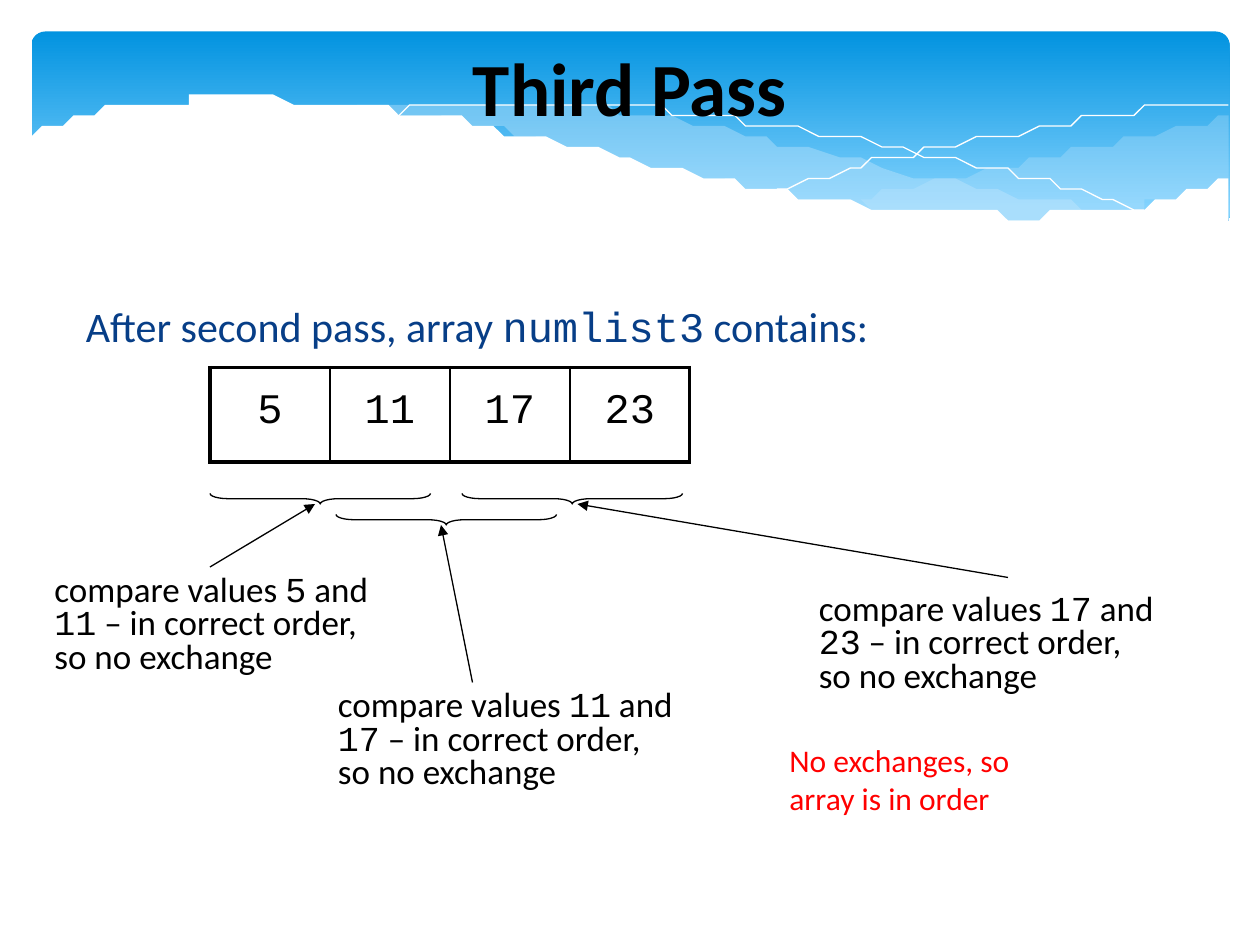
from lxml.etree import SubElement
from pptx import Presentation
from pptx.dml.color import RGBColor
from pptx.enum.shapes import MSO_CONNECTOR, MSO_SHAPE
from pptx.enum.text import MSO_ANCHOR, PP_ALIGN
from pptx.oxml.ns import qn
from pptx.util import Emu, Inches, Pt

COLUMNS, ROWS = 120, 90
BLACK, WHITE, NAVY, RED, PALE = "000000", "FFFFFF", "073E87", "FF0000", "C6E7FC"

RIGHT_VEIL_TOP = [(117.1, 11.3), (110.5, 12.5), (103.3, 14.2), (96.6, 15.7),
                  (87.5, 17.6), (79.3, 19.2)]
RIGHT_VEIL_BOTTOM = [(79.3, 19.2), (84.6, 19.8), (90.8, 20.4), (97.7, 20.6),
                     (103.6, 20.4), (108.6, 19.6), (113, 18.5), (117.1, 16.9)]
LEFT_VEIL_TOP = [(107.2, 20), (100.4, 19.1), (88.9, 17), (75.5, 13.9),
                 (68.3, 12.2), (60.2, 10.8), (53, 10), (45.6, 9.6),
                 (39.4, 9.7), (34.3, 10.3)]
LEFT_VEIL_BOTTOM = [(34.3, 10.3), (41, 11.2), (51.2, 13.2), (63.6, 16.2),
                    (72.1, 18), (79.8, 19.3), (86.6, 20.2), (92.8, 20.6),
                    (99.4, 20.8), (107.2, 20)]
FALLING_LINE = [(37.1, 10.8), (41.3, 10.1), (46.4, 9.8), (54, 9.8), (61.2, 10.3),
                (69.8, 11.3), (79.8, 13), (91.2, 15.4), (99.7, 17.4), (108.8, 19.9)]
RISING_LINE = [(73.6, 18.1), (80.6, 16.2), (89.8, 14), (100.3, 11.9),
               (109.2, 10.3), (117, 9.6)]
WHITE_WAVE = [(2.8, 12.8), (4.3, 12.2), (8, 10.9), (12.7, 10), (17.5, 9.5),
              (23.2, 9.4), (30, 9.7), (37.9, 10.6), (43.8, 11.5), (53.6, 13.7),
              (63.5, 16), (72.4, 17.9), (80.2, 19.2), (87.1, 20), (95.2, 20.5),
              (102, 20.4), (107.9, 19.7), (112.8, 18.5), (117.2, 16.9)]


def rgb(color):
    return RGBColor.from_string(color)


def curve(knots, steps=6):
    """Points of a Catmull-Rom spline through the knots."""
    padded = [knots[0], *knots, knots[-1]]
    points = [knots[0]]
    for a, b, c, d in zip(padded, padded[1:], padded[2:], padded[3:]):
        for step in range(1, steps + 1):
            t = step / steps
            points.append(tuple(
                (2 * q + (r - p) * t + (2 * p - 5 * q + 4 * r - s) * t**2
                 + (3 * q - p - 3 * r + s) * t**3) / 2
                for p, q, r, s in zip(a, b, c, d)))
    return points


class SlideBuilder:
    """Draws on one slide; every length is in grid columns and rows."""

    def __init__(self, deck):
        self.slide = deck.slides.add_slide(deck.slide_layouts[6])
        self.shapes = self.slide.shapes
        self.column = deck.slide_width / COLUMNS
        self.row = deck.slide_height / ROWS
        self.body_font, self.code_font = "Calibri", "Courier New"

    def lengths(self, *values):
        return [Emu(round(value * (self.row if i % 2 else self.column)))
                for i, value in enumerate(values)]

    def banner(self, *box):
        shape = self.shapes.add_shape(MSO_SHAPE.ROUNDED_RECTANGLE, *self.lengths(*box))
        shape.adjustments[0] = 0.07
        shape.shadow.inherit = False
        shape.line.fill.background()
        shape.fill.gradient()
        shape.fill.gradient_angle = 270
        for stop, color, position in zip(shape.fill.gradient_stops,
                                         ("0293E0", "83D3FE"), (0, 0.9)):
            stop.color.rgb = rgb(color)
            stop.position = position

    def wave(self, points, fill=None, opacity=100):
        """A filled outline, or an open white hairline when fill is None."""
        pen = self.shapes.build_freeform(*points[0], scale=(self.column, self.row))
        pen.add_line_segments(points[1:], close=fill is not None)
        shape = pen.convert_to_shape()
        shape.shadow.inherit = False
        if fill is None:
            shape.fill.background()
            shape.line.color.rgb = rgb(WHITE)
            shape.line.width = Pt(0)
            return
        shape.line.fill.background()
        shape.fill.solid()
        shape.fill.fore_color.rgb = rgb(fill)
        color = shape._element.spPr.find(qn("a:solidFill"))[0]
        SubElement(color, qn("a:alpha"), val=str(opacity * 1000))

    def fill_paragraph(self, paragraph, text, size, color, bold=False, **layout):
        """Adds the runs; parts between backticks use the code font."""
        for name, value in layout.items():
            setattr(paragraph, name, value)
        for i, part in enumerate(text.split("`")):
            if not part:
                continue
            run = paragraph.add_run()
            run.text = part
            style = {"name": self.code_font if i % 2 else self.body_font,
                     "size": Pt(size), "bold": bold}
            for name, value in style.items():
                setattr(run.font, name, value)
            run.font.color.rgb = rgb(color)

    def text(self, box, lines, size, color=BLACK, anchor=MSO_ANCHOR.TOP, **layout):
        frame = self.shapes.add_textbox(*self.lengths(*box)).text_frame
        frame.word_wrap = True
        frame.vertical_anchor = anchor
        for i, line in enumerate(lines):
            paragraph = frame.add_paragraph() if i else frame.paragraphs[0]
            self.fill_paragraph(paragraph, line, size, color, **layout)

    def array(self, box, values):
        table = self.shapes.add_table(1, len(values), *self.lengths(*box)).table
        last = len(values) - 1
        for i, value in enumerate(values):
            cell = table.cell(0, i)
            self.fill_paragraph(cell.text_frame.paragraphs[0], f"`{value}`", 24, BLACK,
                                alignment=PP_ALIGN.CENTER, line_spacing=1.3)
            properties = cell._tc.get_or_add_tcPr()
            borders = {"lnL": 1 if i else 2.25, "lnR": 1 if i < last else 2.25,
                       "lnT": 2.25, "lnB": 2.25}
            for side, width in borders.items():
                line = SubElement(properties, qn(f"a:{side}"), w=str(int(Pt(width))))
                fill = SubElement(line, qn("a:solidFill"))
                SubElement(fill, qn("a:srgbClr"), val=BLACK)
            cell.fill.background()

    def brace(self, center, middle, span=21, depth=1):
        """A brace lying under two cells, pointing down."""
        box = (center - depth / 2, middle - span / 2, depth, span)
        shape = self.shapes.add_shape(MSO_SHAPE.RIGHT_BRACE, *self.lengths(*box))
        shape.rotation = 90
        shape.adjustments[0] = 1.75
        shape.shadow.inherit = False
        shape.fill.background()
        shape.line.color.rgb = rgb(BLACK)
        shape.line.width = Pt(0.75)

    def arrow(self, start, end):
        connector = self.shapes.add_connector(
            MSO_CONNECTOR.STRAIGHT, *self.lengths(*start, *end))
        connector.line.color.rgb = rgb(BLACK)
        connector.line.width = Pt(0.75)
        properties = connector._element.spPr
        SubElement(properties.find(qn("a:ln")), qn("a:tailEnd"), type="triangle")
        SubElement(properties, qn("a:effectLst"))


def main():
    deck = Presentation()
    deck.slide_width, deck.slide_height = Inches(10), Inches(7.5)
    page = SlideBuilder(deck)

    page.banner(3, 3, 114.1, 18.7)
    page.wave(curve(RIGHT_VEIL_TOP) + curve(RIGHT_VEIL_BOTTOM), PALE, 29)
    page.wave(curve(LEFT_VEIL_TOP) + curve(LEFT_VEIL_BOTTOM), PALE, 40)
    page.wave(curve(FALLING_LINE))
    page.wave(curve(RISING_LINE))
    page.wave(curve(WHITE_WAVE) + [(117.2, 26.9), (2.8, 26.9)], WHITE)

    page.text((7, 28, 111, 54), ["After second pass, array `numlist3` contains:"],
              24, NAVY, space_before=Pt(4.8))
    values = (5, 11, 17, 23)
    page.array((20, 35, 45.7, 9), values)

    # Per comparison: note position and width, brace centre, arrow start and end
    comparisons = [
        ((4, 54.2, 36.2), (30.5, 47.5), (20, 54), (30, 48)),
        ((31, 65.2, 37.3), (42.5, 49.5), (45, 65), (42, 50)),
        ((76.8, 56, 37.3), (54.5, 47.5), (96, 55), (55, 48)),
    ]
    for first, second, (note, brace, start, end) in zip(values, values[1:], comparisons):
        page.text((*note, 10.8), [f"compare values `{first}` and",
                                  f"`{second}` – in correct order,",
                                  "so no exchange"], 20, line_spacing=0.8)
        page.brace(*brace)
        page.arrow(start, end)

    page.text((74, 70, 24.8, 8.5), ["No exchanges, so", "array is in order"], 18, RED)
    page.text((0, 0, COLUMNS, 16.4), ["Third Pass"], 42.9, anchor=MSO_ANCHOR.MIDDLE,
              bold=True, alignment=PP_ALIGN.CENTER)
    deck.save("out.pptx")


if __name__ == "__main__":
    main()
